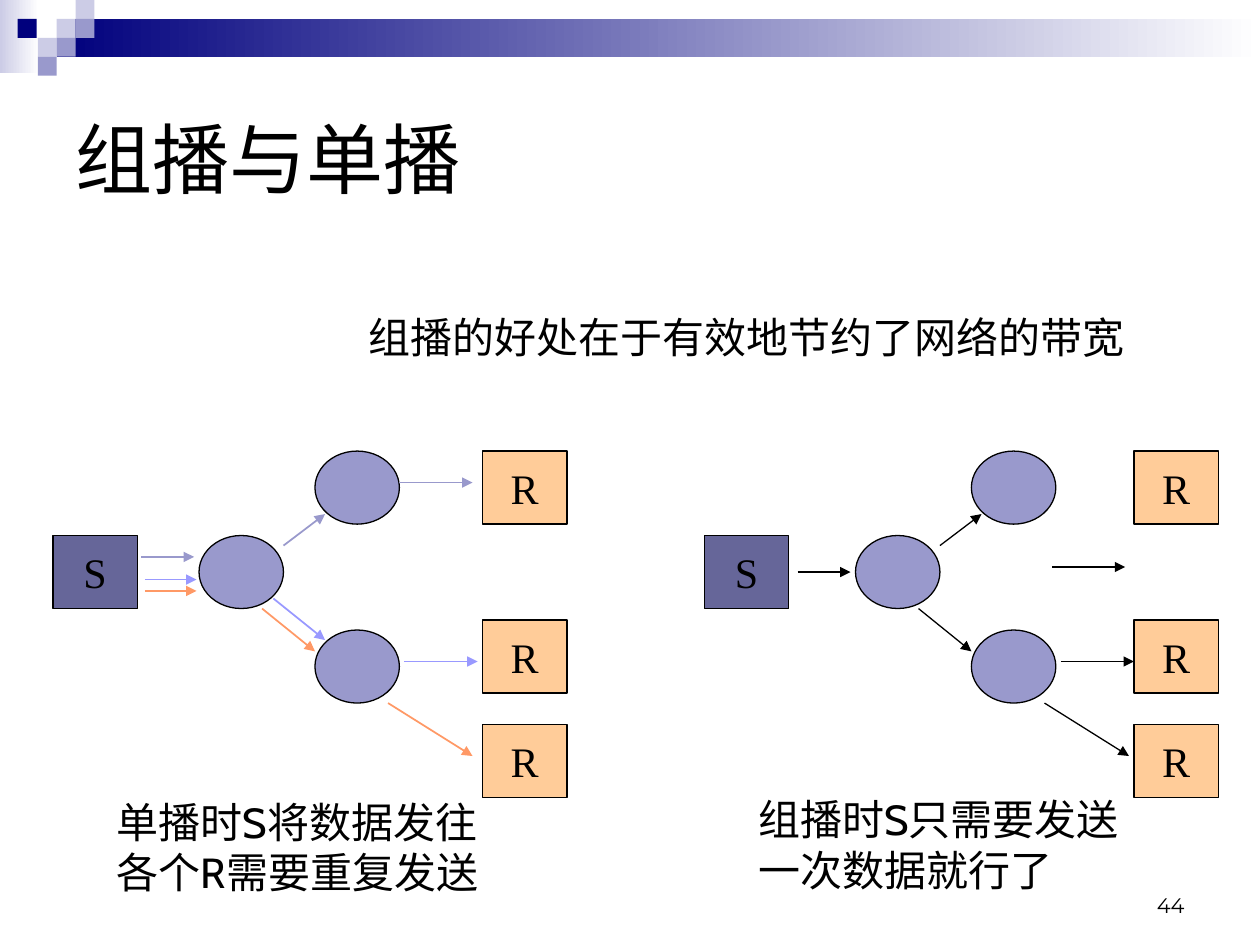
from lxml import etree
from pptx import Presentation
from pptx.dml.color import RGBColor
from pptx.enum import shapes, text
from pptx.oxml import ns
from pptx.util import Inches, Pt

# Theme
THEME = {
    "ink": "000000", "white": "FFFFFF", "navy": "00007D",
    "lilac": "CCCCE6", "violet": "9999CC", "source": "666699",
    "receiver": "FFCC99", "blue": "9999FF", "orange": "FF9966",
    "title_size": 44, "body_size": 24, "number_size": 12,
    "title_font": "Arial", "body_font": "Cabin",
    "node_font": "Times New Roman", "number_font": "Montserrat",
}

# Content
TITLE = "组播与单播"
NOTES = [  # wording, box
    ("组播的好处在于有效地节约了网络的带宽", (2.83, 2.42, 6.25, 0.5)),
    ("单播时S将数据发往各个R需要重复发送", (0.83, 6.27, 3.17, 1.3)),
    ("组播时S只需要发送一次数据就行了", (5.92, 6.25, 3.17, 0.9)),
]
PAGE_NUMBER = "44"

# Both networks share these places; the right one is shifted
NODE_W, NODE_H = 0.67, 0.58
ROUTERS = [(2.5, 3.58), (1.58, 4.25), (2.5, 5)]
END_NODES = [("S", "source", 0.42, 4.25)] + [
    ("R", "receiver", 3.83, top) for top in (3.58, 4.92, 5.75)]
UP = (2.25, 4.33, 2.58, 4.08)
DOWN = (2.08, 4.83, 2.5, 5.17)
TO_SECOND = (3.21, 5.25, 3.79, 5.25)
TO_THIRD = (3.08, 5.58, 3.75, 6)
NETWORKS = [
    {"router_shift": 0, "end_shift": 0, "line_width": 1, "links": {
        "violet": [(1.12, 4.42, 1.54, 4.42), UP, (3.17, 3.83, 3.75, 3.83)],
        "blue": [(1.15, 4.6, 1.56, 4.6), (2.17, 4.75, 2.58, 5.08), TO_SECOND],
        "orange": [(1.15, 4.69, 1.56, 4.69), DOWN, TO_THIRD]}},
    {"router_shift": 5.21, "end_shift": 5.17, "line_width": 0.75, "links": {
        "ink": [(1.12, 4.54, 1.54, 4.54), UP, DOWN, TO_SECOND, TO_THIRD,
                (3.14, 4.5, 3.72, 4.5)]}},
]

# Corner ornament
BANDS = [((0, 0, 0.31, 0.58), "lilac"), ((0.45, 0.15, 9.55, 0.3), "navy")]
TILE = 0.15
TILES = [(0.45, 0.15, "lilac"), (0.6, 0, "lilac"), (0.6, 0.15, "violet"),
         (0.3, 0.3, "lilac"), (0.14, 0.15, "navy"), (0.45, 0.3, "violet"),
         (0.3, 0.45, "violet")]


def rgb(name):
    return RGBColor.from_string(THEME[name])


def inches(box):
    return [Inches(value) for value in box]


def write(holder, wording, role, size, frame_format, paragraph_format):
    frame = holder.text_frame
    frame.text = wording
    paragraph = frame.paragraphs[0]
    font = paragraph.runs[0].font
    font.color.rgb = rgb("ink")
    formats = [
        (frame, {"word_wrap": True, "auto_size": text.MSO_AUTO_SIZE.NONE,
                 **frame_format}),
        (paragraph, paragraph_format),
        (font, {"name": THEME[role], "size": Pt(THEME[size])}),
    ]
    for target, values in formats:
        for attribute, value in values.items():
            setattr(target, attribute, value)


def add_block(slide, preset, box, fill=None, outlined=False):
    block = slide.shapes.add_shape(preset, *inches(box))
    block.shadow.inherit = False
    if fill:
        block.fill.solid()
        block.fill.fore_color.rgb = rgb(fill)
    if outlined:
        block.line.color.rgb = rgb("ink")
        block.line.width = Pt(0.75)
    else:
        block.line.fill.background()
    return block


def add_arrow(slide, ends, color, width):
    arrow = slide.shapes.add_connector(
        shapes.MSO_CONNECTOR.STRAIGHT, *inches(ends))
    arrow.line.color.rgb = rgb(color)
    arrow.line.width = Pt(width)
    head = etree.SubElement(arrow.line._get_or_add_ln(), ns.qn("a:tailEnd"))
    head.set("type", "triangle")
    etree.SubElement(arrow._element.spPr, ns.qn("a:effectLst"))


def add_ornament(slide):
    rectangle = shapes.MSO_SHAPE.RECTANGLE
    for box, color in BANDS:
        band = add_block(slide, rectangle, box)
        band.fill.gradient()
        band.fill.gradient_angle = 180
        for stop, name in zip(band.fill.gradient_stops, ("white", color)):
            stop.color.rgb = rgb(name)
    for left, top, color in TILES:
        add_block(slide, rectangle, (left, top, TILE, TILE), color)


def add_network(slide, network):
    shift = network["router_shift"]
    for left, top in ROUTERS:
        add_block(slide, shapes.MSO_SHAPE.OVAL,
                  (left + shift, top, NODE_W, NODE_H), "violet", True)
    for color, links in network["links"].items():
        for x1, y1, x2, y2 in links:
            add_arrow(slide, (x1 + shift, y1, x2 + shift, y2),
                      color, network["line_width"])
    for label, fill, left, top in END_NODES:
        node = add_block(slide, shapes.MSO_SHAPE.RECTANGLE,
                         (left + network["end_shift"], top, NODE_W, NODE_H),
                         fill, True)
        write(node, label, "node_font", "body_size",
              {"word_wrap": False, "vertical_anchor": text.MSO_ANCHOR.MIDDLE},
              {"alignment": text.PP_ALIGN.CENTER})


def main():
    deck = Presentation()
    deck.slide_width, deck.slide_height = Inches(10), Inches(7.5)
    slide = deck.slides.add_slide(deck.slide_layouts[5])
    add_ornament(slide)

    # Title
    title = slide.shapes.title
    title.left, title.top, title.width, title.height = inches((0.5, 0.5, 9, 1.5))
    write(title, TITLE, "title_font", "title_size",
          {"vertical_anchor": text.MSO_ANCHOR.MIDDLE},
          {"alignment": text.PP_ALIGN.LEFT})

    # Unicast on the left, multicast on the right
    for network in NETWORKS:
        add_network(slide, network)

    # Explanations and page number
    for wording, box in NOTES:
        note = slide.shapes.add_textbox(*inches(box))
        write(note, wording, "body_font", "body_size",
              {"auto_size": text.MSO_AUTO_SIZE.SHAPE_TO_FIT_TEXT},
              {"space_before": Pt(15)})
    number = slide.shapes.add_textbox(*inches((7.17, 6.83, 2.33, 0.5)))
    write(number, PAGE_NUMBER, "number_font", "number_size",
          {"vertical_anchor": text.MSO_ANCHOR.BOTTOM},
          {"alignment": text.PP_ALIGN.RIGHT})

    deck.save("out.pptx")


if __name__ == "__main__":
    main()
